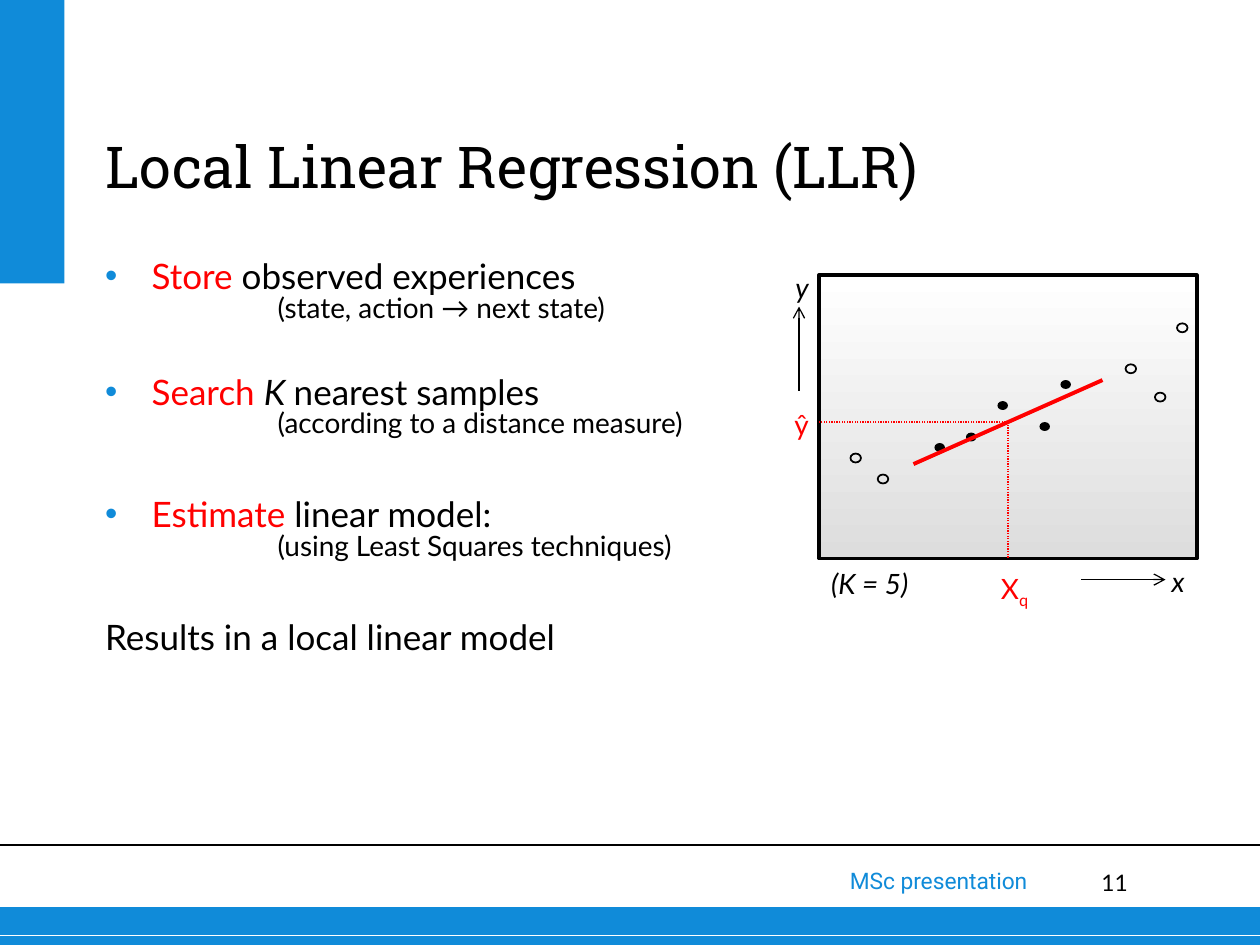
from lxml import etree
from pptx import Presentation
from pptx.dml.color import RGBColor
from pptx.enum.dml import MSO_LINE
from pptx.enum.shapes import MSO_CONNECTOR, MSO_SHAPE
from pptx.enum.text import MSO_ANCHOR, MSO_AUTO_SIZE, PP_ALIGN
from pptx.oxml.ns import qn
from pptx.util import Inches, Pt

RECT, OVAL = MSO_SHAPE.RECTANGLE, MSO_SHAPE.OVAL
STRAIGHT = MSO_CONNECTOR.STRAIGHT
DOTTED = MSO_LINE.ROUND_DOT
LEFT, RIGHT = PP_ALIGN.LEFT, PP_ALIGN.RIGHT
TOP, BOTTOM = MSO_ANCHOR.TOP, MSO_ANCHOR.BOTTOM
COLORS = {"blue": "108BD9", "red": "FF0000", "black": "000000",
          "white": "FFFFFF", "grey": "DDDDDD"}
COLS, ROWS = 120, 90
WIDTH, HEIGHT = Inches(10), Inches(7.5)


def rgb(name):
    return RGBColor.from_string(COLORS[name])


def add(parent, tag, **attrs):
    node = etree.SubElement(parent, qn(tag))
    for key, value in attrs.items():
        node.set(key, value)
    return node


def write(para, text, size=16, color="black", font="Lato", italic=False,
          base=0):
    """Append one formatted run; base is a baseline shift in percent."""
    run = para.add_run()
    run.text = text
    style = run.font
    style.size, style.name, style.italic = Pt(size), font, italic
    style.color.rgb = rgb(color)
    if base:
        run._r.get_or_add_rPr().set("baseline", str(base * 1000))


def indent(para, left, hang=0, bullet=False):
    props = para._p.get_or_add_pPr()
    props.set("marL", str(Inches(left)))
    props.set("indent", str(-Inches(hang)))
    if bullet:
        add(add(props, "a:buClr"), "a:srgbClr", val=COLORS["blue"])
        add(props, "a:buFont", typeface="Arial")
        add(props, "a:buChar", char="•")
    else:
        add(props, "a:buNone")


class Page:
    """Draws on one slide; places and sizes are grid columns and rows."""

    def __init__(self, deck):
        self.slide = deck.slides.add_slide(deck.slide_layouts[1])
        self.shapes = self.slide.shapes

    def grid(self, *nums):
        """Turn alternating columns and rows into slide lengths."""
        units = (WIDTH / COLS, HEIGHT / ROWS)
        return [round(num * units[i % 2]) for i, num in enumerate(nums)]

    def shape(self, kind, box, fill=None, line=None, width=1):
        item = self.shapes.add_shape(kind, *self.grid(*box))
        item.shadow.inherit = False
        if fill:
            item.fill.solid()
            item.fill.fore_color.rgb = rgb(fill)
        else:
            item.fill.background()
        if line:
            item.line.color.rgb = rgb(line)
            item.line.width = Pt(width)
        else:
            item.line.fill.background()
        return item

    def fade(self, item, *names):
        item.fill.gradient()
        item.fill.gradient_angle = 270
        for stop, name in zip(item.fill.gradient_stops, names):
            stop.color.rgb = rgb(name)

    def line(self, ends, color="black", width=0.75, dash=None, arrow=False):
        item = self.shapes.add_connector(STRAIGHT, *self.grid(*ends))
        item.line.color.rgb = rgb(color)
        item.line.width = Pt(width)
        if dash:
            item.line.dash_style = dash
        if arrow:
            add(item.line._get_or_add_ln(), "a:tailEnd", type="arrow")
        add(item._element.spPr, "a:effectLst")
        return item

    def label(self, box, text, sub="", inset=True, **style):
        item = self.shapes.add_textbox(*self.grid(*box))
        frame = item.text_frame
        frame.word_wrap = True
        if not inset:
            self.flush(frame)
        para = frame.paragraphs[0]
        para.alignment = RIGHT
        write(para, text, **style)
        if sub:
            write(para, sub, base=-25, **style)

    def flush(self, frame):
        frame.margin_left = frame.margin_right = 0
        frame.margin_top = frame.margin_bottom = 0

    def holder(self, index, box, anchor):
        """Place a template placeholder and return its text frame."""
        item = self.slide.placeholders[index]
        item.left, item.top, item.width, item.height = self.grid(*box)
        frame = item.text_frame
        frame.word_wrap = True
        frame.auto_size = MSO_AUTO_SIZE.NONE
        frame.vertical_anchor = anchor
        self.flush(frame)
        return frame

    def title(self, box, text):
        para = self.holder(0, box, BOTTOM).paragraphs[0]
        para.alignment = LEFT
        write(para, text, size=33, font="Roboto Slab")

    def steps(self, box, items, close):
        """List of (gap, red word, further runs, note), then a last line."""
        frame = self.holder(1, box, TOP)

        def start(para, gap):
            para.alignment = LEFT
            para.line_spacing = 0.81
            para.space_before = Pt(gap)
            return para

        for i, (gap, word, rest, note) in enumerate(items):
            para = frame.add_paragraph() if i else frame.paragraphs[0]
            indent(start(para, gap), 0.37, 0.37, bullet=True)
            write(para, word, size=20, color="red")
            for text, italic in rest:
                write(para, text, size=20, italic=italic)
            para = start(frame.add_paragraph(), 0)
            indent(para, 1.37)
            write(para, note)
        para = start(frame.add_paragraph(), 35)
        indent(para, 0)
        write(para, close, size=20)


def plot(page):
    frame = page.shape(RECT, (78, 26.2, 36, 27), "white", "black", 2)
    page.fade(frame, "white", "grey")
    near = [(89, 42.2), (92, 41.2), (95, 38.2), (99, 40.2), (101, 36.2)]
    far = [(81, 43.2), (83.6, 45.2), (107.2, 34.7), (110, 37.4),
           (112.1, 30.8)]
    for spot in near:
        page.shape(OVAL, (*spot, 1, 0.85), fill="black")
    for spot in far:
        page.shape(OVAL, (*spot, 1, 0.85), line="black")
    page.line((87, 44.2, 105, 36.2), "red", 2.25)
    drop = page.line((96, 40.2, 96, 53.2), "red", dash=DOTTED)
    drop.end_connect(frame, 2)
    page.line((96, 40.2, 78, 40.2), "red", dash=DOTTED)
    page.line((76.1, 37.2, 76.1, 29.2), arrow=True)
    page.line((103, 55.2, 111, 55.2), arrow=True)
    page.label((93.1, 53.8, 6, 4.4), "X", sub="q", color="red")
    page.label((72.2, 38.2, 6, 4.2), "ŷ", color="red")
    page.label((73.2, 25.2, 5, 4.4), "y", italic=True)
    page.label((108, 53.2, 6, 4.4), "x", italic=True)
    page.label((68.5, 54, 18, 3.2), "(K = 5)", inset=False, italic=True)


def main():
    deck = Presentation()
    deck.slide_width, deck.slide_height = WIDTH, HEIGHT
    page = Page(deck)
    page.shape(RECT, (0, 86.4, COLS, 3.6), fill="blue")
    page.line((0, 89.1, COLS, 89.1), "white")
    page.line((0, 80.5, COLS, 80.5), width=1)
    page.shape(RECT, (0, 0, 6.15, 27), fill="blue")
    page.label((100.3, 82.7, 7.1, 3.4), "11", inset=False, size=13)
    page.label((41, 82, 58, 3.8), "MSc presentation", size=13,
               color="blue", font="Roboto")
    page.title((10, 5.3, 102, 13.8), "Local Linear Regression (LLR)")
    page.steps((10, 25, 65, 48.7), [
        (0, "Store", [(" observed experiences", False)],
         "(state, action → next state)"),
        (31, "Search ", [("K ", True), ("nearest samples", False)],
         "(according to a distance measure)"),
        (35, "Estimate", [(" linear model:", False)],
         "(using Least Squares techniques)"),
    ], "Results in a local linear model")
    plot(page)
    deck.save("out.pptx")


if __name__ == "__main__":
    main()
